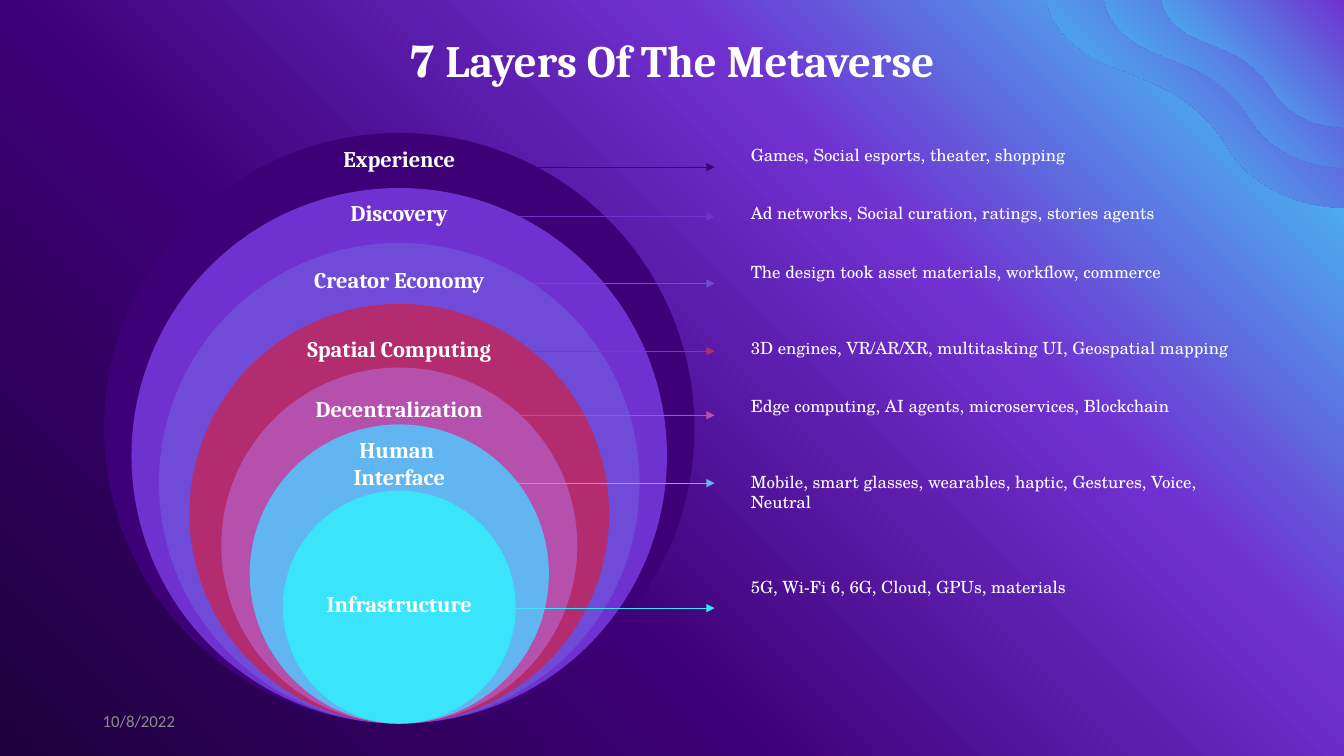
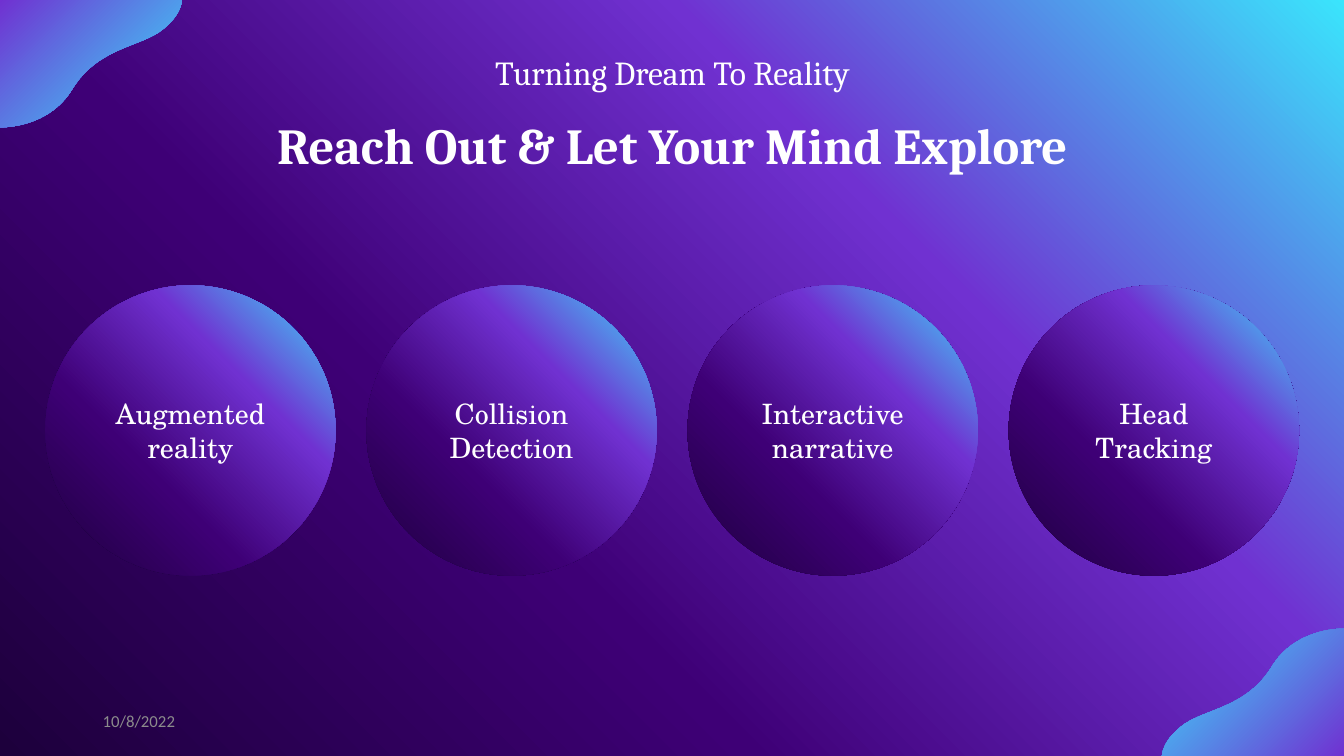
import math
from dataclasses import dataclass, replace

from lxml import etree
from pptx import Presentation
from pptx import util as u
from pptx.dml import color as dml
from pptx.enum import shapes as kinds, text as txt
from pptx.oxml import ns

WIDTH, HEIGHT = 960, 540
MARGIN, TITLE_WIDTH = 38.9, 882.7
WHITE = "FFFFFF"
SERIF, SCHOOL = "Cambria", "TeX Gyre Schola"
NIGHT_STOPS = [(0, "1D003C"), (36, "3E0076"), (68, "7031D1"), (100, "3AE5FC")]
WAVE_STOPS = [(0, "7031D1"), (100, "3AE5FC")]

# Wave edge on a grid 180 wide, measured from the slide corner
WAVE_GRID = 180
WAVE_START = (180, 0)
WAVE_CURVES = [
    [(180, 0), (180, 16), (157, 32)],
    [(134, 47), (95, 49), (71, 89)],
    [(49, 124), (9, 126), (0, 126)],
]


@dataclass(frozen=True)
class TextStyle:
    size: float
    name: str
    bold: bool = False
    color: str = WHITE
    align: txt.PP_ALIGN = txt.PP_ALIGN.CENTER
    anchor: txt.MSO_ANCHOR = txt.MSO_ANCHOR.TOP


@dataclass(frozen=True)
class Box:
    left: float
    top: float
    width: float
    height: float

    def lengths(self) -> list:
        return [u.Pt(v) for v in (self.left, self.top, self.width, self.height)]


@dataclass(frozen=True)
class Layer:
    label: tuple
    detail: str
    color: str
    diameter: float
    label_top: float
    arrow_y: float
    detail_top: float


@dataclass(frozen=True)
class Wave:
    corner_x: float
    corner_y: float
    width: float


TITLE = TextStyle(32, SERIF, bold=True)
BIG_TITLE = replace(TITLE, size=36)
SUBTITLE = TextStyle(24, SERIF)
LABEL = TextStyle(16, SERIF, bold=True)
DETAIL = TextStyle(12, SCHOOL, align=txt.PP_ALIGN.LEFT)
CIRCLE = TextStyle(20, SCHOOL, anchor=txt.MSO_ANCHOR.MIDDLE)
DATE = TextStyle(12, "Calibri", color="8C8C8C", align=txt.PP_ALIGN.LEFT,
                 anchor=txt.MSO_ANCHOR.MIDDLE)

LAYERS = [
    Layer(("Experience",), "Games, Social esports, theater, shopping",
          "3E0076", 421.8, 100, 119.4, 100),
    Layer(("Discovery",), "Ad networks, Social curation, ratings, stories agents",
          "7031D1", 382.5, 138.6, 154.7, 141.2),
    Layer(("Creator Economy",), "The design took asset materials, workflow, commerce",
          "704BD7", 343.3, 186.4, 202.5, 183.6),
    Layer(("Spatial Computing",),
          "3D engines, VR/AR/XR, multitasking UI, Geospatial mapping",
          "B32C6F", 299.7, 236, 250.8, 237.6),
    Layer(("Decentralization",), "Edge computing, AI agents, microservices, Blockchain",
          "B550AC", 254.3, 279, 296.6, 279.3),
    Layer(("Human ", "Interface"),
          "Mobile, smart glasses, wearables, haptic, Gestures, Voice, Neutral",
          "61B5F1", 213.7, 308.2, 345.1, 333.4),
    Layer(("Infrastructure",), "5G, Wi-Fi 6, 6G, Cloud, GPUs, materials",
          "3AE5FC", 166.3, 418.2, 434.4, 408.2),
]
LAYER_CENTER, LAYER_BOTTOM = 285.2, 516.8
LABEL_WIDTH, LINE_HEIGHT = 207, 26.6
ARROW_START, ARROW_END = 368.6, 510.5
DETAIL_LEFT, DETAIL_WIDTH, DETAIL_HEIGHT = 529.2, 356.4, 21.6

TOPICS = ["Augmented reality", "Collision Detection", "Interactive narrative",
          "Head Tracking"]
TOPIC_LEFT, TOPIC_TOP, TOPIC_SIZE, TOPIC_STEP = 32.3, 203.8, 207.4, 229.4


def rgb(color: str) -> dml.RGBColor:
    return dml.RGBColor.from_string(color)


def set_gradient(fill, element, stops: list, angle: float) -> None:
    """Give fill, held in element, the stops; angle runs counter-clockwise."""
    fill.gradient()
    fill.gradient_angle = angle
    stop_list = element.find(".//" + ns.qn("a:gsLst"))
    for stop in list(stop_list):
        stop_list.remove(stop)
    for position, color in stops:
        stop = etree.SubElement(stop_list, ns.qn("a:gs"), pos=str(position * 1000))
        etree.SubElement(stop, ns.qn("a:srgbClr"), val=color)


def format_font(font, style: TextStyle) -> None:
    values = {"size": u.Pt(style.size), "name": style.name, "bold": style.bold}
    for attribute, value in values.items():
        setattr(font, attribute, value)
    font.color.rgb = rgb(style.color)


def write_text(shape, lines, style: TextStyle) -> None:
    frame = shape.text_frame
    values = {"word_wrap": True, "auto_size": txt.MSO_AUTO_SIZE.NONE,
              "vertical_anchor": style.anchor}
    for attribute, value in values.items():
        setattr(frame, attribute, value)
    for index, line in enumerate(lines):
        paragraph = frame.add_paragraph() if index else frame.paragraphs[0]
        paragraph.alignment = style.align
        run = paragraph.add_run()
        run.text = line
        format_font(run.font, style)


def add_text(slide, box: Box, lines, style: TextStyle) -> None:
    write_text(slide.shapes.add_textbox(*box.lengths()), lines, style)


def place_title(slide, top: float, height: float, line: str, style: TextStyle):
    title = slide.shapes.title
    box = Box(MARGIN, top, TITLE_WIDTH, height)
    for attribute, value in zip(("left", "top", "width", "height"), box.lengths()):
        setattr(title, attribute, value)
    write_text(title, [line], style)
    return title


def add_circle(slide, left: float, top: float, size: float):
    circle = slide.shapes.add_shape(kinds.MSO_SHAPE.OVAL,
                                    *Box(left, top, size, size).lengths())
    circle.shadow.inherit = False
    circle.line.fill.background()
    return circle


def add_arrow(slide, y: float, color: str) -> None:
    arrow = slide.shapes.add_connector(
        kinds.MSO_CONNECTOR.STRAIGHT,
        *(u.Pt(v) for v in (ARROW_START, y, ARROW_END, y)))
    arrow.line.color.rgb = rgb(color)
    arrow.line.width = u.Pt(0.5)
    properties = arrow.element.spPr
    etree.SubElement(properties.find(ns.qn("a:ln")), ns.qn("a:tailEnd"), type="triangle")
    etree.SubElement(properties, ns.qn("a:effectLst"))


def bend_segments(shape, curves: list) -> None:
    """Turn the last straight segments of a freeform into cubic Bézier curves."""
    segments = list(shape.element.iter(ns.qn("a:lnTo")))
    for segment, curve in zip(segments[-len(curves):], curves):
        bezier = etree.Element(ns.qn("a:cubicBezTo"))
        for x, y in curve:
            etree.SubElement(bezier, ns.qn("a:pt"), x=str(x - shape.left),
                             y=str(y - shape.top))
        segment.getparent().replace(segment, bezier)


def add_wave(slide, wave: Wave) -> None:
    """Fill a slide corner with a wave whose gradient runs away from the corner."""
    across = -1 if wave.corner_x else 1
    down = -1 if wave.corner_y else 1
    scale = wave.width / WAVE_GRID

    def place(point: tuple) -> tuple:
        return (u.Pt(wave.corner_x + across * scale * point[0]),
                u.Pt(wave.corner_y + down * scale * point[1]))

    curves = [[place(point) for point in curve] for curve in WAVE_CURVES]
    builder = slide.shapes.build_freeform(*place((0, 0)))
    builder.add_line_segments([place(WAVE_START), *(curve[-1] for curve in curves)],
                              close=True)
    shape = builder.convert_to_shape()
    bend_segments(shape, curves)
    shape.shadow.inherit = False
    shape.line.fill.background()
    angle = math.degrees(math.atan2(-down, across)) % 360
    set_gradient(shape.fill, shape.element, WAVE_STOPS, angle)


def start_slide(presentation, waves: list):
    """Add a title-only slide with its corner waves and the date."""
    slide = presentation.slides.add_slide(presentation.slide_layouts[5])
    for wave in waves:
        add_wave(slide, wave)
    add_text(slide, Box(66.2, 500.5, 216, 28.8), ["10/8/2022"], DATE)
    return slide


def build_layers_slide(presentation) -> None:
    slide = start_slide(presentation, [Wave(WIDTH, 0, w) for w in (212, 171, 130)])
    title = place_title(slide, 19.8, 46, "7", replace(TITLE, name=SCHOOL))
    run = title.text_frame.paragraphs[0].add_run()
    run.text = " Layers Of The Metaverse"
    format_font(run.font, TITLE)

    for layer in LAYERS:
        circle = add_circle(slide, LAYER_CENTER - layer.diameter / 2,
                            LAYER_BOTTOM - layer.diameter, layer.diameter)
        circle.fill.solid()
        circle.fill.fore_color.rgb = rgb(layer.color)
    for layer in LAYERS:
        label_box = Box(LAYER_CENTER - LABEL_WIDTH / 2, layer.label_top,
                        LABEL_WIDTH, LINE_HEIGHT * len(layer.label))
        add_text(slide, label_box, layer.label, LABEL)
        add_arrow(slide, layer.arrow_y, layer.color)
        detail_box = Box(DETAIL_LEFT, layer.detail_top, DETAIL_WIDTH, DETAIL_HEIGHT)
        add_text(slide, detail_box, [layer.detail], DETAIL)


def build_topics_slide(presentation) -> None:
    slide = start_slide(presentation, [Wave(0, 0, 130), Wave(WIDTH, HEIGHT, 130)])
    place_title(slide, 77.8, 51, "Reach Out & Let Your Mind Explore", BIG_TITLE)
    add_text(slide, Box(MARGIN, 33.8, TITLE_WIDTH, 36), ["Turning Dream To Reality"],
             SUBTITLE)
    for index, topic in enumerate(TOPICS):
        circle = add_circle(slide, TOPIC_LEFT + index * TOPIC_STEP, TOPIC_TOP, TOPIC_SIZE)
        set_gradient(circle.fill, circle.element, NIGHT_STOPS, 45)
        write_text(circle, [topic], CIRCLE)


def main() -> None:
    presentation = Presentation()
    presentation.slide_width, presentation.slide_height = u.Pt(WIDTH), u.Pt(HEIGHT)
    master = presentation.slide_master
    set_gradient(master.background.fill, master.element, NIGHT_STOPS, 45)
    build_layers_slide(presentation)
    build_topics_slide(presentation)
    presentation.save("out.pptx")


if __name__ == "__main__":
    main()
